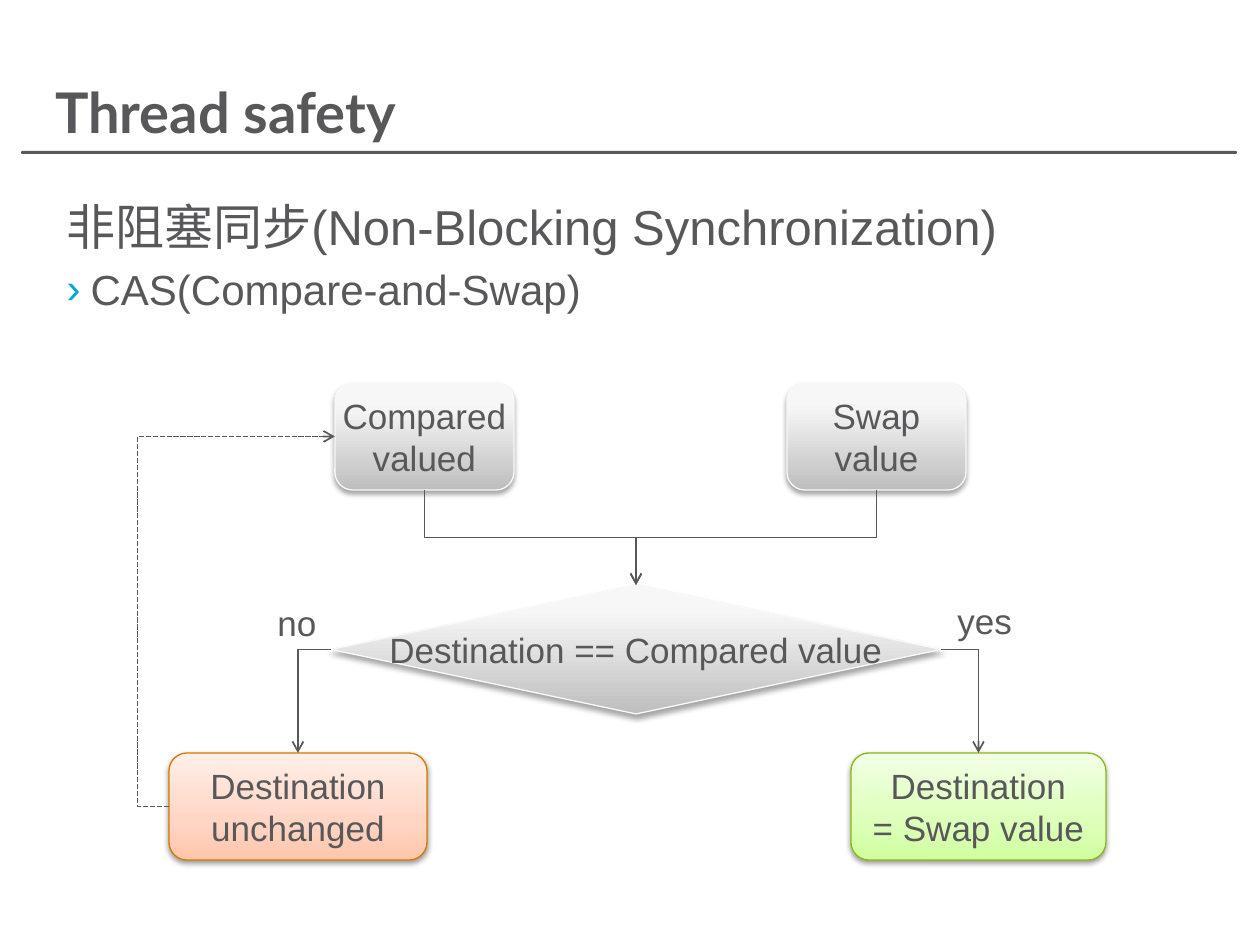
from copy import deepcopy
from dataclasses import dataclass

from pptx import Presentation
from pptx import util as u
from pptx.dml.color import RGBColor
from pptx.enum import dml, shapes, text
from pptx.oxml import parse_xml
from pptx.oxml.ns import nsdecls, qn

EMU_PER_PX = 914400 / 126
TOP, LEFT, BOTTOM, RIGHT = range(4)


@dataclass(frozen=True)
class Theme:
    ink: str = "58585A"
    bullet: str = "00A9D4"
    heading_font: str = "Lato"
    body_font: str = "Arial"
    title_size: int = 32
    lead_size: int = 28
    item_size: int = 24
    label_size: int = 20
    grey: tuple = ("F9F9F9", ((0, "BEBEBE"), (0.8, "F7F7F7"), (1, "F8F8F8")), 35, 1.8)
    orange: tuple = ("D47A00", ((0, "FFC5AB"), (0.35, "FFD5C3"), (1, "FFEFE8")), 38, 1.6)
    green: tuple = ("88BA13", ((0, "D0FF9E"), (0.35, "DDFFBA"), (1, "F2FFE5")), 38, 1.6)


THEME = Theme()


def px(length):
    return u.Emu(round(length * EMU_PER_PX))


def rgb(value):
    return RGBColor.from_string(value)


def place(part, left, top, width, height):
    part.left, part.top, part.width, part.height = map(px, (left, top, width, height))


def style(paragraph, size, font=THEME.body_font, bold=False):
    paragraph.font.size = u.Pt(size)
    paragraph.font.name = font
    paragraph.font.bold = bold
    paragraph.font.color.rgb = rgb(THEME.ink)


def add_heading(slide, wording):
    title = slide.shapes.title
    place(title, 55, 77, 1061, 68)
    frame = title.text_frame
    frame.margin_left = frame.margin_top = frame.margin_right = frame.margin_bottom = 0
    frame.vertical_anchor = text.MSO_ANCHOR.BOTTOM
    frame.auto_size = text.MSO_AUTO_SIZE.NONE
    frame.text = wording
    heading = frame.paragraphs[0]
    heading.alignment = text.PP_ALIGN.LEFT
    style(heading, THEME.title_size, THEME.heading_font, True)

    rule = slide.shapes.add_shape(shapes.MSO_SHAPE.ROUNDED_RECTANGLE, *map(px, (21, 151, 1216, 3)))
    rule.adjustments[0] = 0.5
    rule.shadow.inherit = False
    rule.fill.solid()
    rule.fill.fore_color.rgb = rgb(THEME.ink)
    rule.line.fill.background()


def add_points(slide, lead_wording, item_wording):
    body = slide.placeholders[1]
    place(body, 54, 190, 1140, 620)
    frame = body.text_frame
    frame.auto_size = text.MSO_AUTO_SIZE.NONE
    lead = frame.paragraphs[0]
    lead.text = lead_wording
    style(lead, THEME.lead_size)
    lead_props = lead._p.get_or_add_pPr()
    lead_props.set("marL", "0")
    lead_props.set("indent", "0")
    lead_props.insert_element_before(parse_xml(f'<a:buNone {nsdecls("a")}/>'), "a:defRPr")

    item = frame.add_paragraph()
    item.text = item_wording
    style(item, THEME.item_size)
    item_props = item._p.get_or_add_pPr()
    item_props.set("marL", str(px(24)))
    item_props.set("indent", str(-px(24)))
    for bullet in (
        f'<a:buClr {nsdecls("a")}><a:srgbClr val="{THEME.bullet}"/></a:buClr>',
        f'<a:buFont {nsdecls("a")} typeface="{THEME.body_font}"/>',
        f'<a:buChar {nsdecls("a")} char="›"/>',
    ):
        item_props.insert_element_before(parse_xml(bullet), "a:defRPr")


def add_step(slide, kind, wording, box, look):
    border, stops, shadow_alpha, shadow_distance = look
    step = slide.shapes.add_shape(kind, *map(px, box))
    step.fill.gradient()
    step.fill.gradient_angle = 90
    stop_list = step._element.spPr.find(".//" + qn("a:gsLst"))
    stop_list.append(deepcopy(stop_list[-1]))
    for stop, (position, colour) in zip(step.fill.gradient_stops, stops):
        stop.position = position
        stop.color.rgb = rgb(colour)
    step.line.color.rgb = rgb(border)
    step.line.width = u.Pt(0.75)
    step.shadow.inherit = False
    step._element.spPr.find(qn("a:effectLst")).append(parse_xml(
        f'<a:outerShdw {nsdecls("a")} blurRad="{u.Pt(3.1)}" dist="{u.Pt(shadow_distance)}" '
        f'dir="5400000" rotWithShape="0"><a:srgbClr val="000000">'
        f'<a:alpha val="{shadow_alpha * 1000}"/></a:srgbClr></a:outerShdw>'))

    frame = step.text_frame
    frame.margin_left = frame.margin_right = 0
    frame.word_wrap = False
    frame.vertical_anchor = text.MSO_ANCHOR.MIDDLE
    caption = frame.paragraphs[0]
    caption.text = wording
    caption.alignment = text.PP_ALIGN.CENTER
    style(caption, THEME.label_size)
    return step


def turn_vertical(arrow):
    rightward = arrow.end_x > arrow.begin_x
    left, top, width, height = arrow.left, arrow.top, arrow.width, arrow.height
    arrow.left, arrow.top = left + (width - height) // 2, top + (height - width) // 2
    arrow.width, arrow.height = height, width
    frame = arrow._element.spPr.find(qn("a:xfrm"))
    frame.set("rot", "16200000" if rightward else "5400000")
    frame.set("flipH", "1" if rightward else "0")


def add_arrow(slide, source, source_side, target, target_side, corner=False, bend=None, dashed=False):
    arrow = slide.shapes.add_connector(shapes.MSO_CONNECTOR.ELBOW, 0, 0, 0, 0)
    arrow.begin_connect(source, source_side)
    arrow.end_connect(target, target_side)
    properties = arrow._element.spPr
    route = properties.find(qn("a:prstGeom"))
    if corner:
        route.set("prst", "bentConnector2")
    if bend is not None:
        route.get_or_add_avLst().append(parse_xml(
            f'<a:gd {nsdecls("a")} name="adj1" fmla="val {round(bend * 100000)}"/>'))
    if source_side == BOTTOM:
        turn_vertical(arrow)
    arrow.line.color.rgb = rgb(THEME.ink)
    arrow.line.width = u.Pt(1)
    if dashed:
        arrow.line.dash_style = dml.MSO_LINE.SQUARE_DOT
    properties.find(qn("a:ln")).append(parse_xml(f'<a:tailEnd {nsdecls("a")} type="arrow"/>'))
    properties.append(parse_xml(f'<a:effectLst {nsdecls("a")}/>'))


def add_label(slide, wording, box):
    frame = slide.shapes.add_textbox(*map(px, box)).text_frame
    frame.word_wrap = False
    frame.auto_size = text.MSO_AUTO_SIZE.SHAPE_TO_FIT_TEXT
    frame.text = wording
    style(frame.paragraphs[0], THEME.label_size)


def main():
    deck = Presentation()
    deck.slide_width, deck.slide_height = px(1260), px(945)
    slide = deck.slides.add_slide(deck.slide_layouts[1])
    add_heading(slide, "Thread safety")
    add_points(slide, "非阻塞同步(Non-Blocking Synchronization)", "CAS(Compare-and-Swap)")

    rounded, diamond = shapes.MSO_SHAPE.ROUNDED_RECTANGLE, shapes.MSO_SHAPE.DIAMOND
    compared = add_step(slide, rounded, "Compared\nvalued", (335, 383, 179, 107), THEME.grey)
    swap = add_step(slide, rounded, "Swap\nvalue", (787, 383, 179, 107), THEME.grey)
    decision = add_step(slide, diamond, "Destination == Compared value", (331, 585, 610, 129), THEME.grey)
    unchanged = add_step(slide, rounded, "Destination\nunchanged", (169, 753, 258, 107), THEME.orange)
    swapped = add_step(slide, rounded, "Destination\n= Swap value", (851, 753, 255, 107), THEME.green)

    add_arrow(slide, unchanged, LEFT, compared, LEFT, bend=-0.19, dashed=True)
    add_arrow(slide, decision, LEFT, unchanged, TOP, corner=True)
    add_arrow(slide, decision, RIGHT, swapped, TOP, corner=True)
    for value in (compared, swap):
        add_arrow(slide, value, BOTTOM, decision, TOP)

    add_label(slide, "yes", (945, 593, 81, 55))
    add_label(slide, "no", (265, 595, 64, 55))
    deck.save("out.pptx")


if __name__ == "__main__":
    main()
